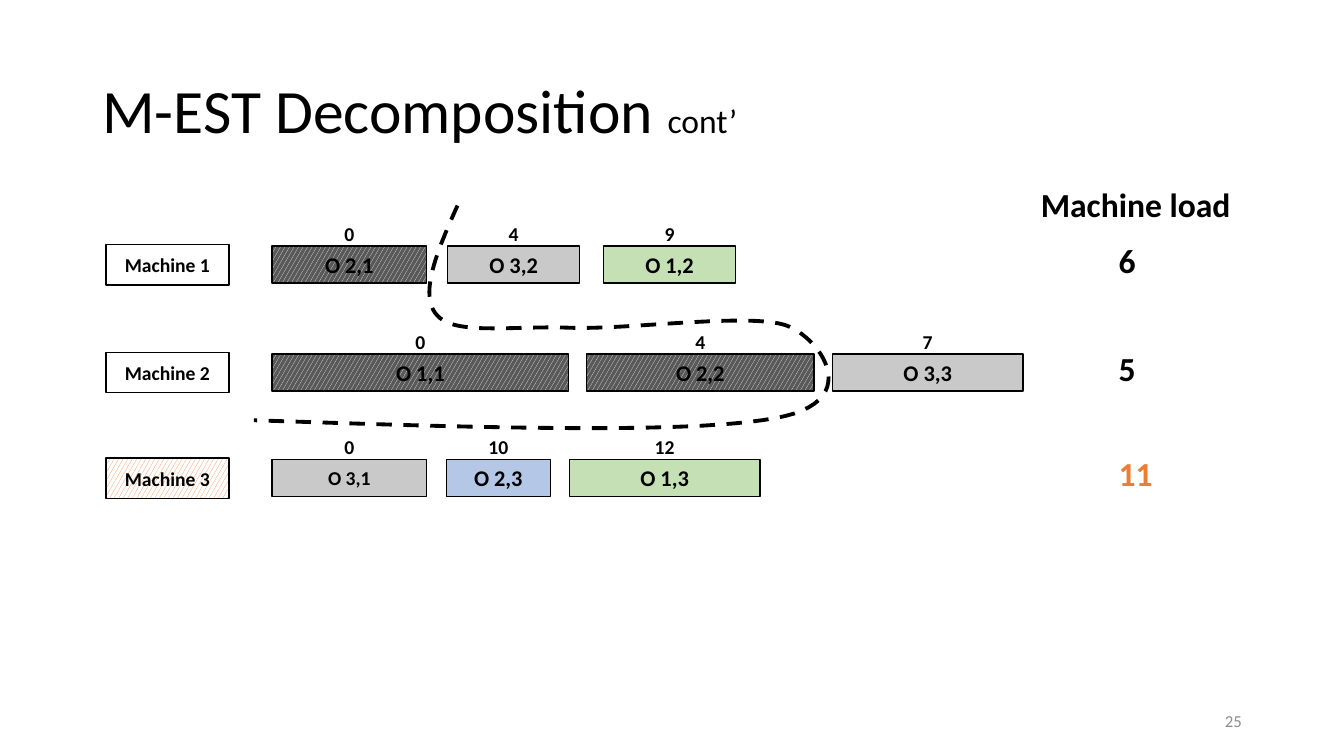
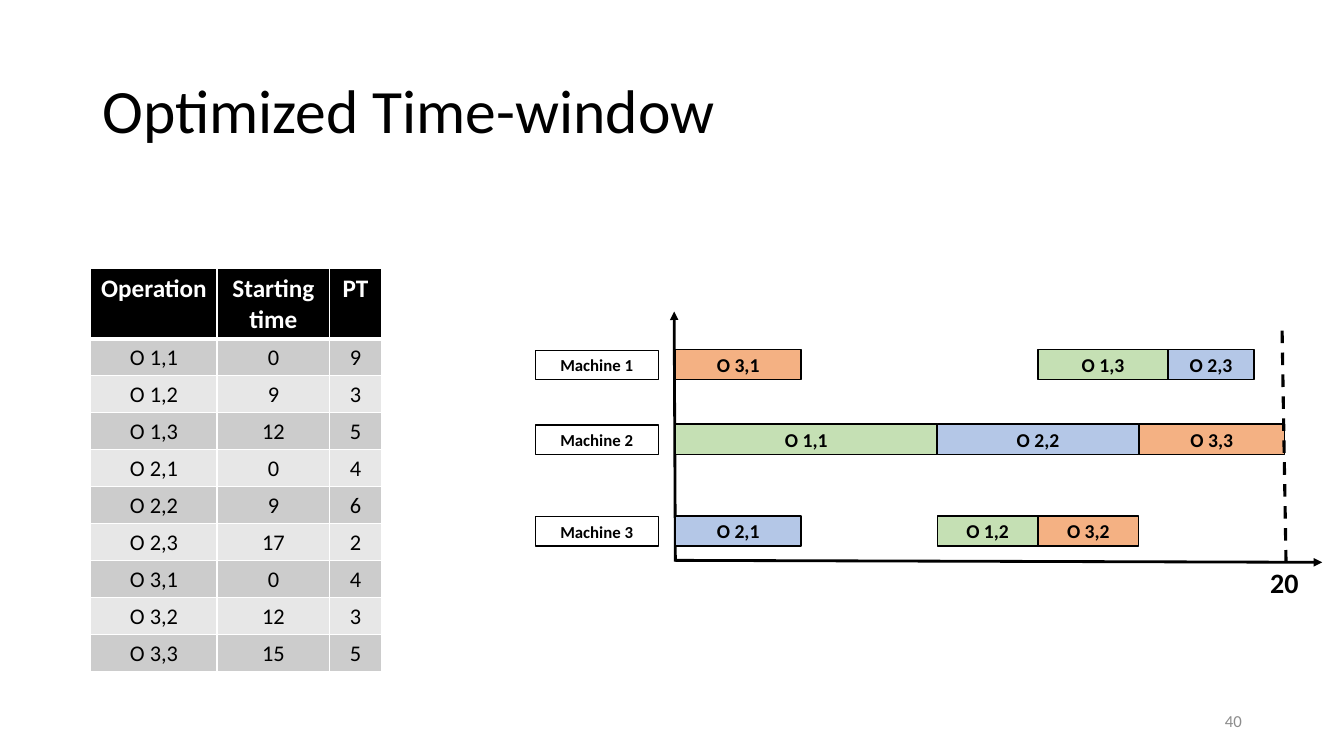
"""Build two scheduling slides: a decomposition and an optimized time window."""
from lxml import etree
from pptx import Presentation
from pptx import util as u
from pptx.dml.color import RGBColor
from pptx.enum import dml, shapes, text
from pptx.oxml.ns import qn

Cm = u.Cm
FONT = "Calibri"
HUE = {
    "black": "000000", "white": "FFFFFF", "dark": "595959", "gray": "C9C9C9",
    "green": "C5E0B4", "blue": "B4C7E7", "peach": "F4B183", "orange": "ED7D31",
    "page": "8C8C8C", "odd": "CCCCCC", "even": "E7E7E7",
}
HATCH = {"done": ("white", "dark"), "full": ("orange", "white")}
MID, TOP = text.MSO_ANCHOR.MIDDLE, text.MSO_ANCHOR.TOP
LEFT, RIGHT, CENTER = text.PP_ALIGN.LEFT, text.PP_ALIGN.RIGHT, text.PP_ALIGN.CENTER
DASH = dml.MSO_LINE.DASH

LOADS = [
    ("Machine 1", 6.2, None, "6", "black", [
        ("O 2,1", "0", 6.86, 3.89, "done", 16),
        ("O 3,2", "4", 11.28, 3.33, "gray", 16),
        ("O 1,2", "9", 15.21, 3.33, "green", 16)]),
    ("Machine 2", 8.92, None, "5", "black", [
        ("O 1,1", "0", 6.86, 7.47, "done", 16),
        ("O 2,2", "4", 14.78, 5.74, "done", 16),
        ("O 3,3", "7", 20.98, 4.8, "gray", 16)]),
    ("Machine 3", 11.58, "full", "11", "orange", [
        ("O 3,1", "0", 6.86, 3.89, "gray", 14),
        ("O 2,3", "10", 11.25, 2.62, "blue", 16),
        ("O 1,3", "12", 14.35, 4.8, "green", 16)]),
]
START = (11.53, 5.18)
CURVES = [
    ((11.02, 6.32), (10.54, 7.44), (11.02, 7.95)),
    ((11.48, 8.46), (12.93, 8.2), (14.4, 8.26)),
    ((15.88, 8.31), (19.05, 7.85), (19.89, 8.23)),
    ((20.75, 8.61), (21.77, 10.16), (19.51, 10.54)),
    ((17.27, 10.95), (11.84, 10.77), (6.4, 10.59)),
]

PLAN = [
    ("Machine 1", 8.81, [
        ("O 3,1", 17.02, 20.19, "peach"),
        ("O 1,3", 26.16, 29.44, "green"),
        ("O 2,3", 29.44, 31.6, "blue")]),
    ("Machine 2", 10.69, [
        ("O 1,1", 17.02, 23.62, "green"),
        ("O 2,2", 23.62, 28.7, "blue"),
        ("O 3,3", 28.7, 32.38, "peach")]),
    ("Machine 3", 13, [
        ("O 2,1", 17.02, 20.19, "blue"),
        ("O 1,2", 23.62, 26.16, "green"),
        ("O 3,2", 26.16, 28.7, "peach")]),
]
TIMES = [
    ("Operation", "Starting time", "PT"),
    ("O 1,1", 0, 9), ("O 1,2", 9, 3), ("O 1,3", 12, 5),
    ("O 2,1", 0, 4), ("O 2,2", 9, 6), ("O 2,3", 17, 2),
    ("O 3,1", 0, 4), ("O 3,2", 12, 3), ("O 3,3", 15, 5),
]
COLS = (3.18, 2.84, 1.3)


def rgb(name):
    return RGBColor.from_string(HUE[name])


def write(frame, *runs, size=14, bold=True, hue="black", align=CENTER, space=None):
    """Fill a text frame; a run is a string or a (string, size) pair."""
    frame.word_wrap = True
    para = frame.paragraphs[0]
    para.alignment = align
    para.line_spacing = space
    for item in runs:
        words, points = item if isinstance(item, tuple) else (item, size)
        run = para.add_run()
        run.text = words
        run.font.name, run.font.size, run.font.bold = FONT, u.Pt(points), bold
        run.font.color.rgb = rgb(hue)


def label(slide, x, y, w, h, *runs, anchor=TOP, **style):
    frame = slide.shapes.add_textbox(Cm(x), Cm(y), Cm(w), Cm(h)).text_frame
    frame.vertical_anchor = anchor
    write(frame, *runs, **style)


def paint(shape, fill):
    if fill in HATCH:
        fore, back = HATCH[fill]
        shape.fill.patterned()
        shape.fill.pattern = dml.MSO_PATTERN.LARGE_CONFETTI
        shape.fill.fore_color.rgb, shape.fill.back_color.rgb = rgb(fore), rgb(back)
    elif fill:
        shape.fill.solid()
        shape.fill.fore_color.rgb = rgb(fill)
    else:
        shape.fill.background()
    shape.shadow.inherit = False


def stroke(line, width, dash=None):
    line.color.rgb, line.width = rgb("black"), u.Pt(width)
    if dash:
        line.dash_style = dash


def box(slide, x, y, w, h, words, fill=None, **style):
    shape = slide.shapes.add_shape(
        shapes.MSO_SHAPE.RECTANGLE, Cm(x), Cm(y), Cm(w), Cm(h))
    paint(shape, fill)
    stroke(shape.line, 1)
    shape.text_frame.vertical_anchor = MID
    write(shape.text_frame, words, **style)


def rule(slide, x, y, x2, y2, width=2, dash=None, arrow=False):
    wire = slide.shapes.add_connector(
        shapes.MSO_CONNECTOR.STRAIGHT, Cm(x), Cm(y), Cm(x2), Cm(y2))
    stroke(wire.line, width, dash)
    if arrow:
        etree.SubElement(wire.line._get_or_add_ln(), qn("a:tailEnd"), type="triangle")
    etree.SubElement(wire._element.spPr, qn("a:effectLst"))


def trace(slide, start, curves, steps=24):
    """Draw a dashed curve through cubic pieces."""
    points, last = [], start
    for piece in curves:
        for n in range(1, steps + 1):
            t = n / steps
            mix = ((1 - t) ** 3, 3 * t * (1 - t) ** 2, 3 * t * t * (1 - t), t ** 3)
            points.append(tuple(
                Cm(sum(m * p[axis] for m, p in zip(mix, (last, *piece))))
                for axis in (0, 1)))
        last = piece[-1]
    pen = slide.shapes.build_freeform(Cm(start[0]), Cm(start[1]))
    pen.add_line_segments(points, close=False)
    shape = pen.convert_to_shape()
    paint(shape, None)
    stroke(shape.line, 2.75, DASH)


def edge(cell, side, points):
    line = etree.SubElement(
        cell._tc.get_or_add_tcPr(), qn("a:ln" + side), w=str(u.Pt(points)))
    fill = etree.SubElement(line, qn("a:solidFill"))
    etree.SubElement(fill, qn("a:srgbClr"), val=HUE["white"])


def grid(slide, x, y, rows, cols):
    table = slide.shapes.add_table(
        len(rows), len(cols), Cm(x), Cm(y), Cm(sum(cols)), Cm(10.1)).table
    for col, wide in zip(table.columns, cols):
        col.width = Cm(wide)
    for r, row in enumerate(rows):
        head = r == 0
        table.rows[r].height = Cm(1.76 if head else 0.93)
        for c, value in enumerate(row):
            cell = table.cell(r, c)
            cell.margin_left = cell.margin_right = Cm(0.15)
            for side in "LRTB":
                thick = (head and side == "B") or (r == 1 and side == "T")
                edge(cell, side, 3 if thick else 1)
            cell.fill.solid()
            cell.fill.fore_color.rgb = rgb("black" if head else ("even", "odd")[r % 2])
            write(cell.text_frame, str(value), size=18 if head else 16,
                  bold=head, hue="white" if head else "black")


def begin(deck, number, *title):
    slide = deck.slides.add_slide(deck.slide_layouts[6])
    label(slide, 2.33, 1.01, 29.21, 3.68, *title, anchor=MID,
          size=44, bold=False, align=LEFT, space=0.9)
    label(slide, 23.93, 17.65, 7.62, 1.02, number, anchor=MID,
          size=12, bold=False, hue="page", align=RIGHT)
    return slide


def split(deck):
    slide = begin(deck, "25", "M-EST Decomposition ", ("cont’", 24))
    label(slide, 25.98, 4.5, 5.6, 1.27, "Machine load", size=24, align=LEFT)
    for name, top, fill, load, hue, jobs in LOADS:
        box(slide, 2.67, top - 0.04, 3.1, 1.02, name, fill)
        label(slide, 27.94, top - 0.29, 2, 1.27, load, size=24, hue=hue, align=LEFT)
        for job, time, x, w, tint, size in jobs:
            box(slide, x, top, w, 0.93, job, tint, size=size)
            label(slide, x + w / 2 - 1, top - 0.74, 2, 0.86, time)
    trace(slide, START, CURVES)


def window(deck):
    slide = begin(deck, "40", "Optimized Time-window")
    rule(slide, 17.02, 14.15, 16.99, 7.85, arrow=True)
    rule(slide, 17.02, 14.12, 33.32, 14.17, arrow=True)
    for name, top, jobs in PLAN:
        box(slide, 13.49, top + 0.02, 3.1, 0.74, name, size=12)
        for job, x, end, tint in jobs:
            box(slide, x, top, end - x, 0.76, job, tint)
    grid(slide, 2.29, 6.76, TIMES, COLS)
    rule(slide, 32.31, 8.33, 32.41, 14.17, width=2.25, dash=DASH)
    label(slide, 31.37, 14.12, 2, 1.12, "20", size=20)


def main():
    deck = Presentation()
    deck.slide_width, deck.slide_height = Cm(33.87), Cm(19.05)
    split(deck)
    window(deck)
    deck.save("out.pptx")


if __name__ == "__main__":
    main()
